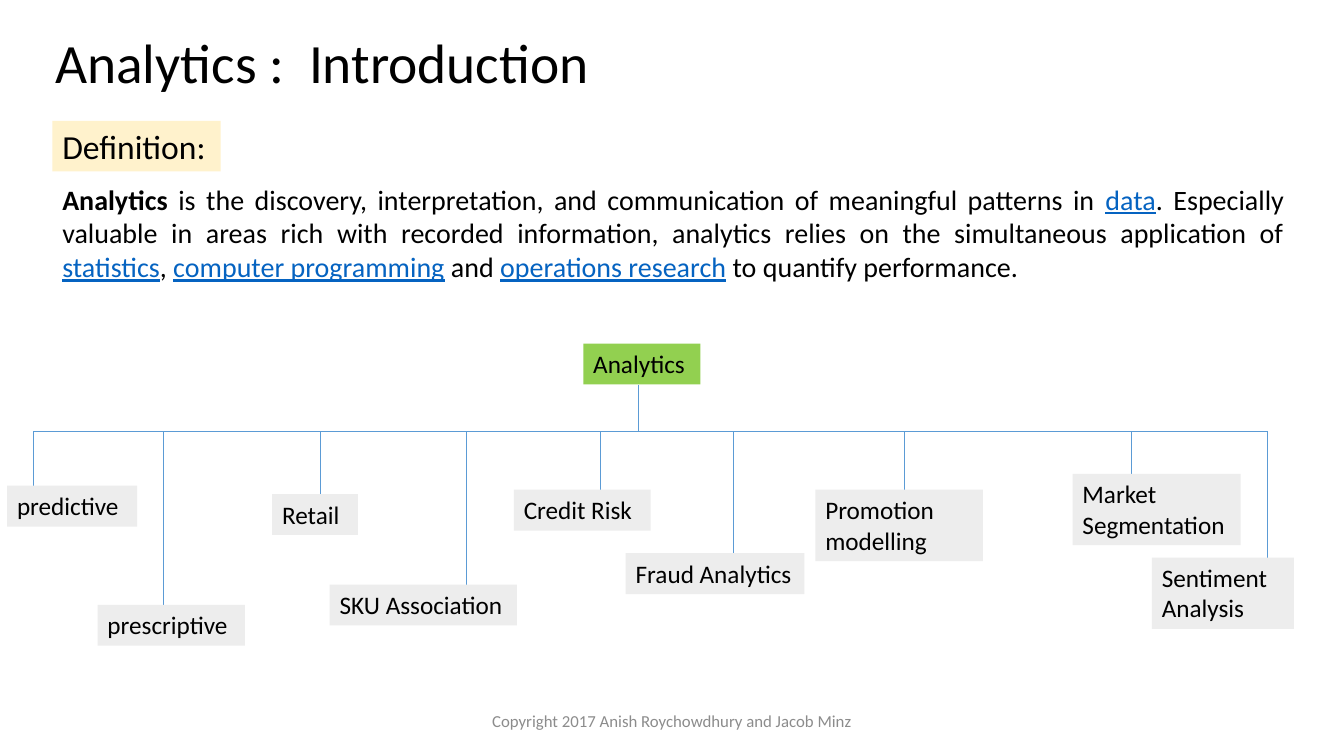
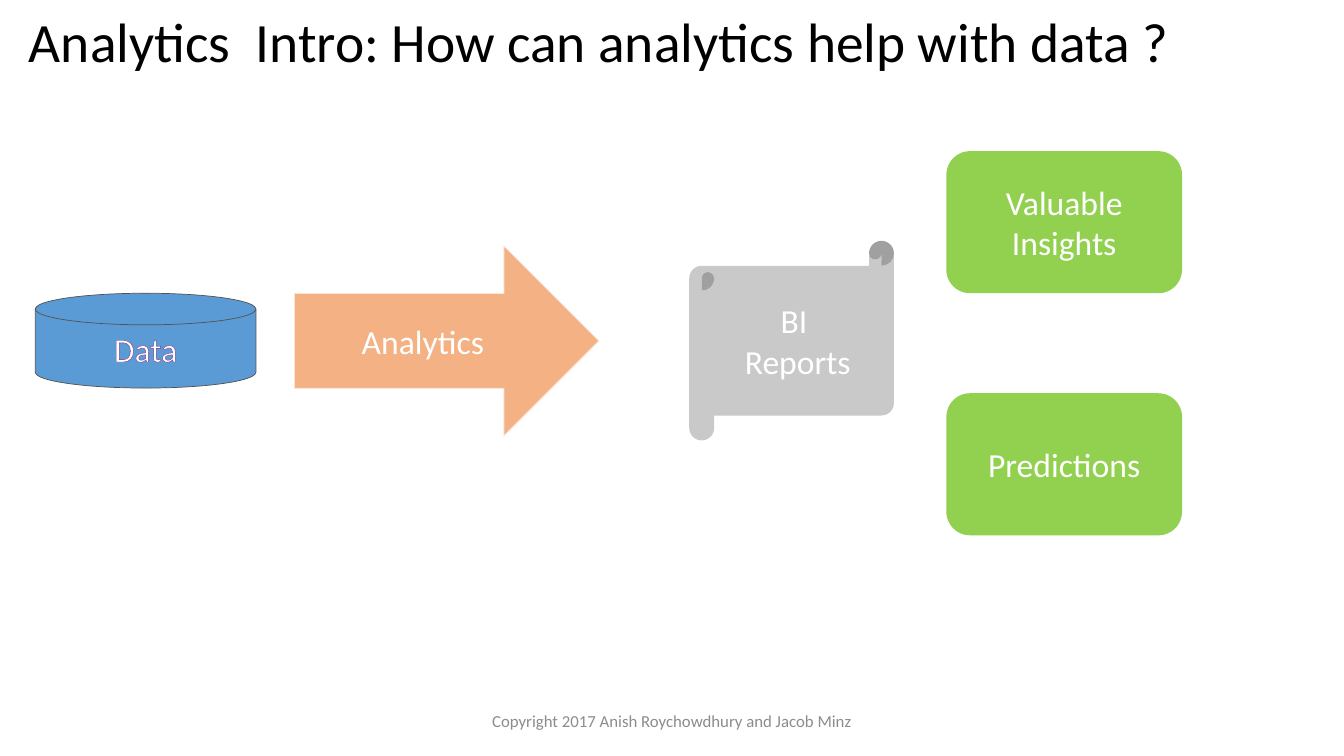
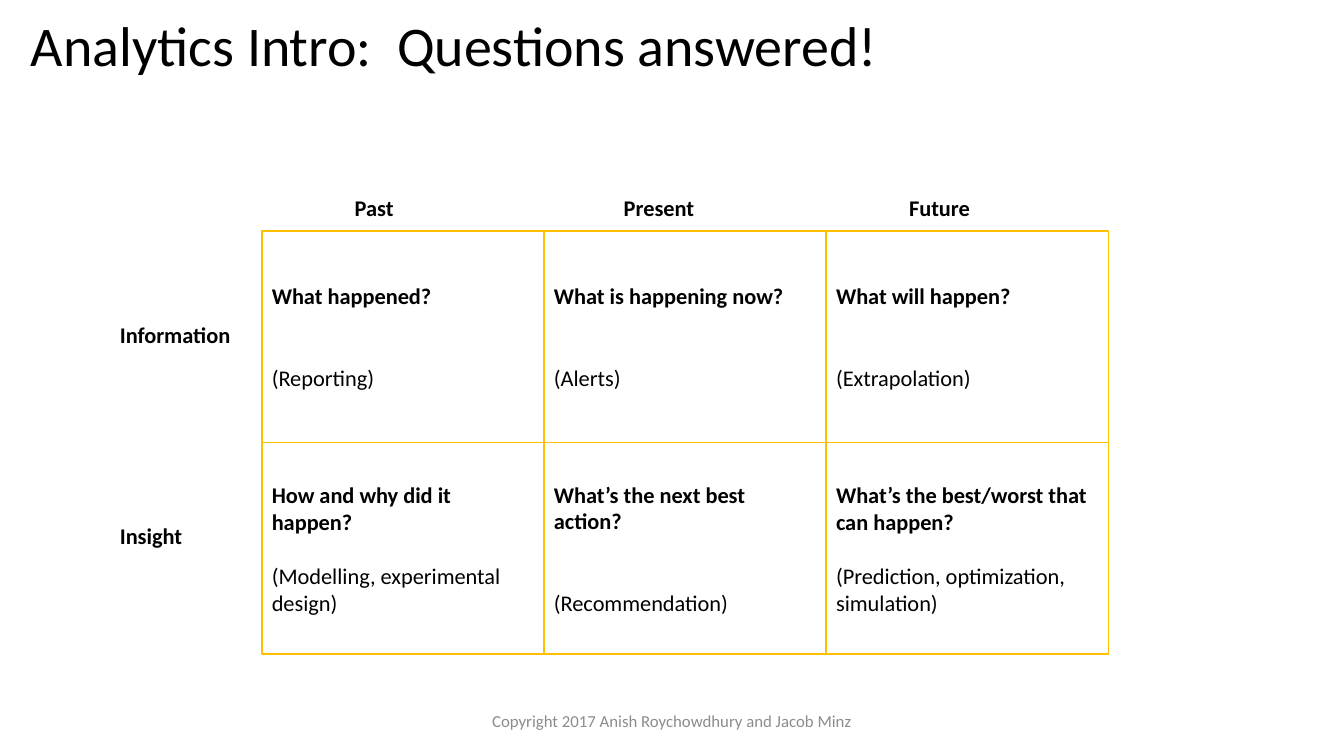
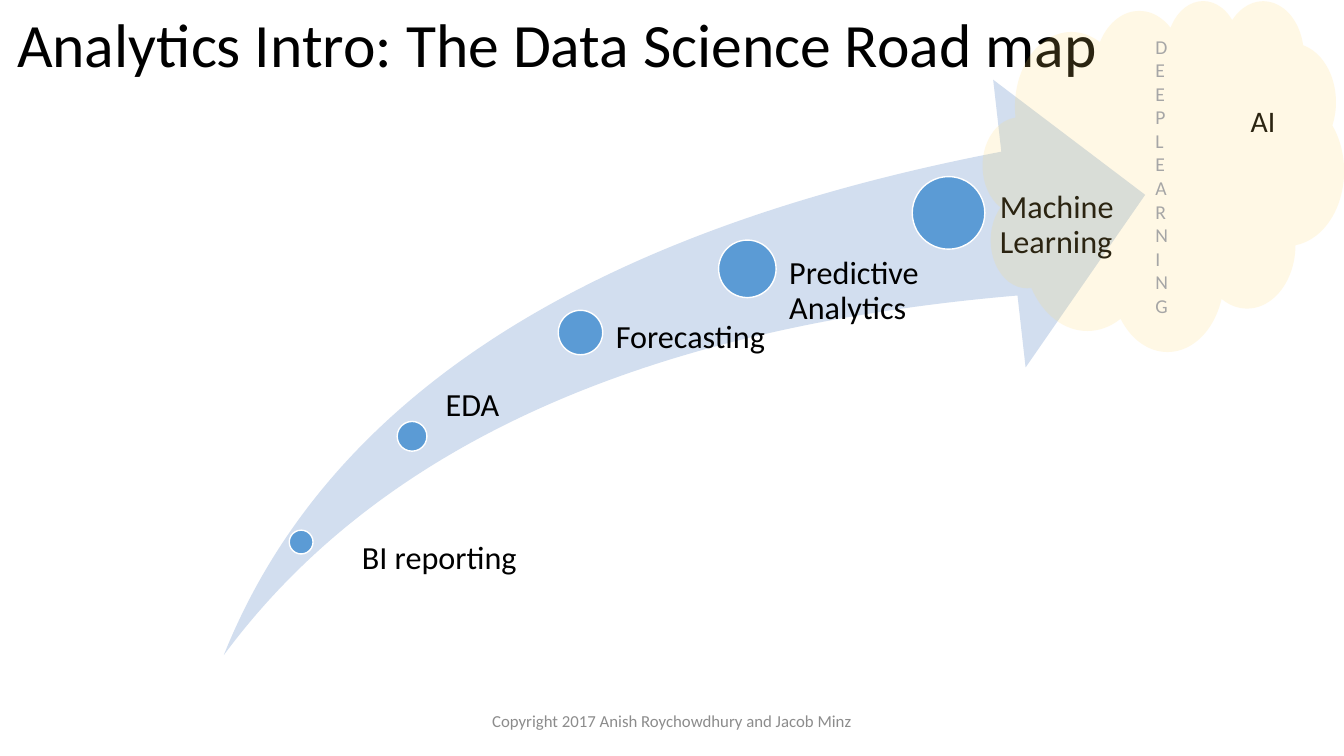
"""Build four slides that introduce analytics."""
from lxml.etree import SubElement
from pptx import Presentation
from pptx.dml.color import RGBColor
from pptx.enum.shapes import MSO_CONNECTOR, MSO_SHAPE
from pptx.enum.text import MSO_ANCHOR, PP_ALIGN
from pptx.oxml.ns import qn
from pptx.util import Cm, Pt

FONT = "Calibri"
BLACK, WHITE, GREY = "000000", "FFFFFF", "8C8C8C"
BLUE, GREEN, GOLD, PALE = "5B9BD5", "92D050", "FFC000", "EDEDED"
LEFT, MID = PP_ALIGN.LEFT, PP_ALIGN.CENTER


def style(font, size, color=BLACK, bold=False):
    font.name, font.size, font.bold = FONT, Pt(size), bold
    font.color.rgb = RGBColor.from_string(color)


def put(page, at, text="", size=18, form=None, fill=None, edge=None, width=0.5,
        color=BLACK, bold=False, align=LEFT, middle=False, tight=None, lead=None):
    box = [Cm(n) for n in at]
    if form is None:
        shape = page.shapes.add_textbox(*box)
    else:
        shape = page.shapes.add_shape(form, *box)
        shape.shadow.inherit = False
        shape.fill.solid()
        shape.fill.fore_color.rgb = RGBColor.from_string(fill)
        if edge:
            shape.line.color.rgb = RGBColor.from_string(edge)
            shape.line.width = Pt(width)
        else:
            shape.line.fill.background()
    frame = shape.text_frame
    frame.word_wrap = True
    frame.vertical_anchor = MSO_ANCHOR.MIDDLE if middle else MSO_ANCHOR.TOP
    if lead is not None:
        frame.margin_left = Cm(lead)
        frame.margin_top = frame.margin_right = frame.margin_bottom = 0
    frame.text = text
    for para in frame.paragraphs:
        para.alignment = align
        para.line_spacing = tight
        for run in para.runs:
            style(run.font, size, color, bold)
    return shape


deck = Presentation()
deck.slide_width, deck.slide_height = Cm(33.87), Cm(19.05)

titles = [
    ("Analytics :  Introduction", 39.6, (1.14, 0.84, 31.6, 1.6)),
    ("Analytics  Intro: How can analytics help with data ?", 39.6, (0.48, 0.33, 31.6, 1.6)),
    ("Analytics Intro:  Questions answered!", 40, (0.53, 0.41, 24.66, 1.6)),
    ("Analytics Intro: The Data Science Road map", 44, (0.18, 0, 29.21, 2.41)),
]
pages = []
for text, size, at in titles:
    page = deck.slides.add_slide(deck.slide_layouts[6])
    put(page, at, text, size, middle=True, tight=0.9)
    put(page, (11.22, 17.66, 11.43, 1.01), "Copyright 2017 Anish Roychowdhury and Jacob Minz",
        12, color=GREY, align=MID, middle=True)
    pages.append(page)
intro, flow, grid, road = pages

put(intro, (1.32, 3.05, 4.24, 1.27), "Definition:", 24, MSO_SHAPE.RECTANGLE, "FFF2CC")
body = put(intro, (1.32, 4.47, 31.29, 3.58), align=PP_ALIGN.JUSTIFY)
parts = [
    ("Analytics", "bold"),
    (" is the discovery, interpretation, and communication of meaningful patterns in ", ""),
    ("data", "term"),
    (". Especially valuable in areas rich with recorded information, "
     "analytics relies on the simultaneous application of ", ""),
    ("statistics", "term"),
    (", ", ""),
    ("computer programming", "term"),
    (" and ", ""),
    ("operations research", "term"),
    (" to quantify performance.", ""),
]
for text, kind in parts:
    run = body.text_frame.paragraphs[0].add_run()
    run.text = text
    style(run.font, 20, "0563C1" if kind == "term" else BLACK, kind == "bold")
    run.font.underline = kind == "term"

BAR = 10.87
nodes = [
    ("predictive", 0.18, 12.24, 3.28, 0.84),
    ("prescriptive", 2.46, 15.24, 3.71, 4.11),
    ("Retail", 6.86, 12.45, 2.16, 8.08),
    ("SKU Association", 8.31, 14.73, 4.72, 11.76),
    ("Credit Risk", 12.95, 12.34, 3.45, 15.14),
    ("Fraud Analytics", 15.77, 13.94, 4.5, 18.49),
    ("Promotion modelling", 20.55, 12.34, 4.22, 22.78),
    ("Market Segmentation", 27.03, 11.94, 4.24, 28.52),
    ("Sentiment\nAnalysis", 29.03, 14.05, 3.58, 31.93),
]
tall = ("Promotion modelling", "Market Segmentation", "Sentiment\nAnalysis")
lines = [(16.08, 9.69, 16.08, BAR), (nodes[0][4], BAR, nodes[-1][4], BAR)]
lines += [(stem, BAR, stem, top) for _, _, top, _, stem in nodes]
for ends in lines:
    line = intro.shapes.add_connector(MSO_CONNECTOR.STRAIGHT, *[Cm(n) for n in ends])
    line.line.color.rgb = RGBColor.from_string(BLUE)
    line.line.width = Pt(0.5)
    SubElement(line._element.spPr, qn("a:effectLst"))
put(intro, (14.7, 8.66, 2.95, 1.03), "Analytics", 18, MSO_SHAPE.RECTANGLE, GREEN)
for text, left, top, wide, _ in nodes:
    high = 1.8 if text in tall else 1.03
    put(intro, (left, top, wide, high), text, 18, MSO_SHAPE.RECTANGLE, PALE)

steps = [
    ("Data", MSO_SHAPE.FLOWCHART_MAGNETIC_DISK, (0.89, 7.39, 5.56, 2.39), BLUE, "525252"),
    ("Analytics", MSO_SHAPE.RIGHT_ARROW, (7.42, 6.2, 7.67, 4.78), "F4B183", "FBE5D6"),
    ("BI  Reports", MSO_SHAPE.HORIZONTAL_SCROLL, (17.37, 6.07, 5.16, 5.03), "C9C9C9", None),
    ("Predictions", MSO_SHAPE.ROUNDED_RECTANGLE, (23.85, 9.91, 5.94, 3.58), GREEN, None),
    ("Valuable Insights", MSO_SHAPE.ROUNDED_RECTANGLE, (23.85, 3.81, 5.94, 3.58), GREEN, None),
]
for text, form, at, fill, edge in steps:
    step = put(flow, at, text, 24, form, fill, edge, color=WHITE, align=MID, middle=True)
    if text == "Data":
        props = step.text_frame.paragraphs[0].runs[0].font._element
        rim = SubElement(props, qn("a:ln"), w="9525")
        SubElement(SubElement(rim, qn("a:solidFill")), qn("a:srgbClr"), val="822980")
        props.insert(0, rim)

cells = [
    [("What happened?", "(Reporting)", 2),
     ("What is happening now?", "(Alerts)", 2),
     ("What will happen?", "(Extrapolation)", 2)],
    [("How and why did it happen?", "(Modelling, experimental design)", 1),
     ("What’s the next best action?", "(Recommendation)", 2),
     ("What’s the best/worst that can happen?", "(Prediction, optimization, simulation)", 1)],
]
WIDE, HIGH = 7.11, 5.33
for row, items in enumerate(cells):
    for col, (ask, reply, gap) in enumerate(items):
        at = (6.6 + col * WIDE, 5.82 + row * HIGH, WIDE, HIGH)
        cell = put(grid, at, f"{ask}\n{reply}", 16, MSO_SHAPE.RECTANGLE, WHITE, GOLD, 1,
                   bold=True, middle=True)
        last = cell.text_frame.paragraphs[1]
        last.space_before = Pt(19.5 * gap)
        last.runs[0].font.bold = False
heads = [("Past", 8.69, 4.78), ("Present", 15.47, 4.78), ("Future", 22.66, 4.78),
         ("Information", 2.77, 7.98), ("Insight", 2.77, 13.03)]
for text, left, top in heads:
    put(grid, (left, top, 4, 0.94), text, 16, bold=True)

swoosh = put(road, (5.64, 2.01, 23.22, 14.5), form=MSO_SHAPE.SWOOSH_ARROW, fill="D2DEEF")
swoosh.adjustments[0] = swoosh.adjustments[1] = 0.25
stops = [
    ("BI reporting", (7.29, 13.36, 0.6), (8.69, 13.64, 6.12, 1.22), 0.43),
    ("EDA", (10.01, 10.62, 0.75), (10.95, 9.8, 3.05, 3.45), 0.28),
    ("Forecasting", (14.07, 7.82, 1.12), (14.94, 8.08, 4.47, 8.15), 0.58),
    ("Predictive  Analytics", (18.11, 6.05, 1.45), (19.13, 6.48, 4.65, 9.73), 0.76),
    ("Machine Learning", (22.99, 4.45, 1.83), (24.23, 4.8, 4.65, 10.69), 0.97),
]
for text, (left, top, size), at, lead in stops:
    put(road, (left, top, size, size), form=MSO_SHAPE.OVAL, fill=BLUE, edge=WHITE, width=1)
    put(road, at, text, 23, tight=0.9, lead=lead)
put(road, (31.27, 2.46, 1.5, 1.17), "AI", 21.3)
cloud = put(road, (24.77, 0, 9.1, 8.84), form=MSO_SHAPE.CLOUD, fill="FFD966")
tint = cloud._element.spPr.find(".//" + qn("a:srgbClr"))
SubElement(tint, qn("a:alpha"), val="17000")
put(road, (28.87, 0.75, 1.02, 7.7), "\n".join("DEEPLEARNING"), 14, color="A6A6A6")

deck.save("out.pptx")
